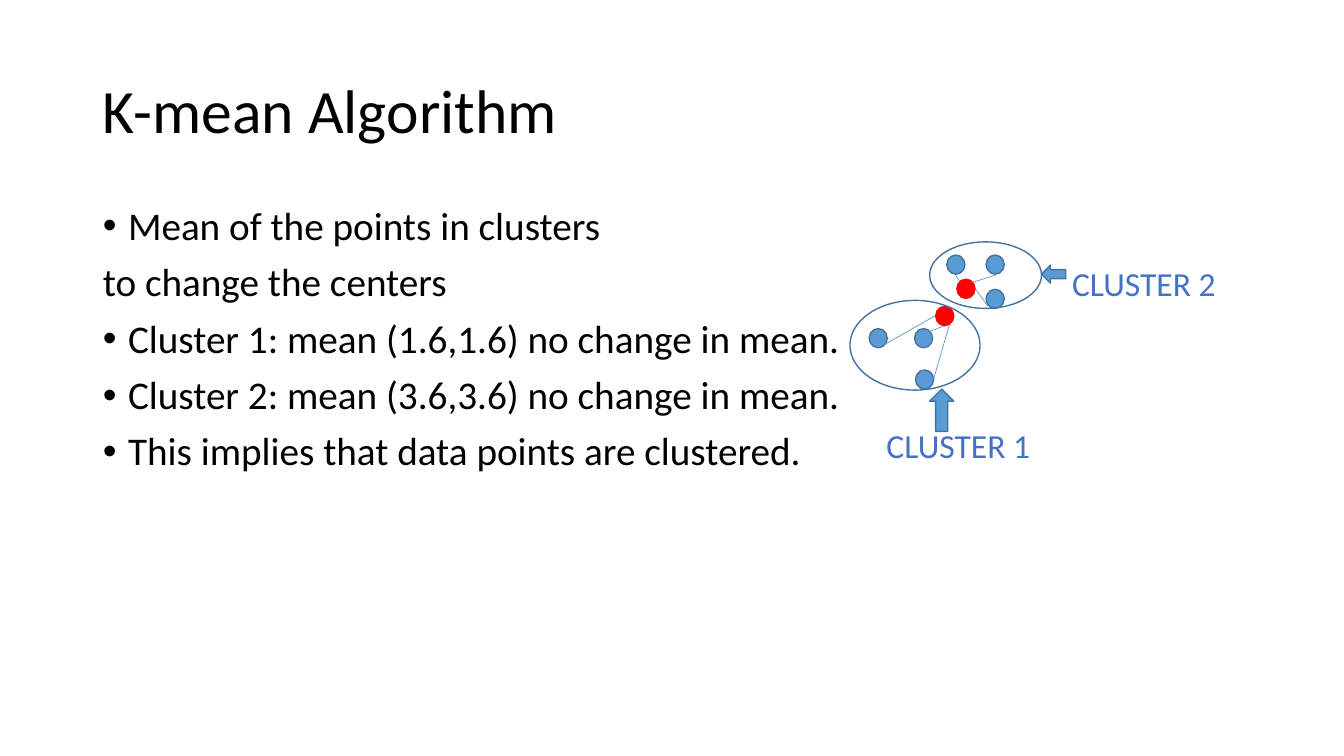
from dataclasses import dataclass

from lxml.etree import SubElement
from pptx import Presentation
from pptx.dml.color import RGBColor
from pptx.enum.shapes import MSO_CONNECTOR, MSO_SHAPE
from pptx.enum.text import MSO_ANCHOR, MSO_AUTO_SIZE, PP_ALIGN
from pptx.oxml.ns import qn
from pptx.util import Inches, Pt


@dataclass(frozen=True)
class Theme:
    """Colours, font and type sizes of the slide."""
    font: str = "Calibri"
    ink: str = "000000"
    point: str = "5B9BD5"
    edge: str = "43739E"
    center: str = "FF0000"
    label: str = "4472C4"
    title_size: int = 44
    body_size: int = 28
    label_size: int = 24


COLUMNS, ROWS = 13.33, 7.5
DOT = (0.18, 0.19)
BULLETS = [
    ("Mean of the points in clusters", True),
    ("to change the centers", False),
    ("Cluster 1: mean (1.6,1.6) no change in mean.", True),
    ("Cluster 2: mean (3.6,3.6) no change in mean.", True),
    ("This implies that data points are clustered.", True),
]
CLUSTERS = [
    {
        "name": "CLUSTER 1",
        "label": (8.43, 4.17, 2.15, 0.5),
        "outline": (8.43, 2.98, 1.29, 0.89),
        "points": [(9.07, 3.26), (8.62, 3.26), (9.08, 3.67)],
        "center": (9.28, 3.04),
        "links": [(9.26, 3.76, 9.42, 3.21), (9.28, 3.13, 8.77, 3.42), (9.37, 3.23, 9.22, 3.29)],
        "arrow": (MSO_SHAPE.UP_ARROW, (9.22, 3.86, 0.24, 0.42)),
    },
    {
        "name": "CLUSTER 2",
        "label": (10.27, 2.56, 2.15, 0.5),
        "outline": (9.22, 2.4, 1.11, 0.66),
        "points": [(9.78, 2.53), (9.78, 2.87), (9.39, 2.53)],
        "center": (9.49, 2.77),
        "links": [(9.87, 2.73, 9.65, 2.8), (9.67, 2.86, 9.8, 3.04), (9.52, 2.8, 9.48, 2.73)],
        "arrow": (MSO_SHAPE.LEFT_ARROW, (10.33, 2.63, 0.24, 0.18)),
    },
]


def assign(target, values):
    """Set each named attribute on the target."""
    for name, value in values.items():
        setattr(target, name, value)


class Painter:
    """Draws styled elements on one slide, placed by columns and rows."""

    def __init__(self, deck, theme):
        """Add a title-and-content slide to the deck."""
        self.theme = theme
        self.page = deck.slides.add_slide(deck.slide_layouts[1])
        self.column = deck.slide_width / COLUMNS
        self.row = deck.slide_height / ROWS

    def place(self, *cells):
        """Turn alternating columns and rows into lengths."""
        return [round(cell * (self.row if index % 2 else self.column))
                for index, cell in enumerate(cells)]

    def move(self, box, cells):
        """Move and size a placeholder."""
        assign(box, dict(zip(("left", "top", "width", "height"), self.place(*cells))))

    def add_text(self, para, text, size, color, **layout):
        """Add one formatted run to a paragraph."""
        span = para.add_run()
        span.text = text
        assign(span.font, {"name": self.theme.font, "size": Pt(size)})
        span.font.color.rgb = RGBColor.from_string(color)
        assign(para, layout)

    def title(self, text, cells):
        """Fill the title placeholder."""
        box = self.page.shapes.title
        self.move(box, cells)
        assign(box.text_frame, {"vertical_anchor": MSO_ANCHOR.MIDDLE, "auto_size": MSO_AUTO_SIZE.NONE})
        self.add_text(box.text_frame.paragraphs[0], text, self.theme.title_size, self.theme.ink,
                      alignment=PP_ALIGN.LEFT, line_spacing=0.9)

    def body(self, lines, cells):
        """Fill the body placeholder with bulleted and plain lines."""
        box = self.page.placeholders[1]
        self.move(box, cells)
        frame = box.text_frame
        frame.auto_size = MSO_AUTO_SIZE.NONE
        for index, (text, bulleted) in enumerate(lines):
            para = frame.add_paragraph() if index else frame.paragraphs[0]
            self.add_text(para, text, self.theme.body_size, self.theme.ink,
                          line_spacing=0.9, space_before=Pt(10))
            properties = para._p.get_or_add_pPr()
            indent = Inches(0.25) if bulleted else 0
            properties.set("marL", str(indent))
            properties.set("indent", str(-indent))
            if bulleted:
                SubElement(properties, qn("a:buFont"), typeface="Arial")
                SubElement(properties, qn("a:buChar"), char="•")
            else:
                SubElement(properties, qn("a:buNone"))

    def shape(self, kind, cells, fill=None, edge=None):
        """Draw a preset shape, hollow when no fill is given."""
        box = self.page.shapes.add_shape(kind, *self.place(*cells))
        box.shadow.inherit = False
        if fill:
            box.fill.solid()
            box.fill.fore_color.rgb = RGBColor.from_string(fill)
        else:
            box.fill.background()
        box.line.color.rgb = RGBColor.from_string(edge or self.theme.edge)
        box.line.width = Pt(1)

    def dot(self, corner, fill, edge=None):
        """Draw a data point or a cluster center."""
        self.shape(MSO_SHAPE.FLOWCHART_CONNECTOR, (*corner, *DOT), fill, edge)

    def link(self, cells):
        """Draw a thin line between a point and its center."""
        line = self.page.shapes.add_connector(MSO_CONNECTOR.STRAIGHT, *self.place(*cells))
        line.line.color.rgb = RGBColor.from_string(self.theme.point)
        line.line.width = Pt(0.5)
        SubElement(line._element.spPr, qn("a:effectLst"))

    def label(self, text, cells):
        """Add a centred cluster name."""
        frame = self.page.shapes.add_textbox(*self.place(*cells)).text_frame
        assign(frame, {"word_wrap": True, "auto_size": MSO_AUTO_SIZE.SHAPE_TO_FIT_TEXT})
        self.add_text(frame.paragraphs[0], text, self.theme.label_size, self.theme.label,
                      alignment=PP_ALIGN.CENTER)

    def cluster(self, group):
        """Draw one cluster with its points, center, links and label."""
        for corner in group["points"]:
            self.dot(corner, self.theme.point)
        for cells in group["links"]:
            self.link(cells)
        self.dot(group["center"], self.theme.center, self.theme.center)
        self.shape(MSO_SHAPE.OVAL, group["outline"])
        self.label(group["name"], group["label"])
        kind, cells = group["arrow"]
        self.shape(kind, cells, self.theme.point)


def main():
    """Build and save the slide."""
    deck = Presentation()
    assign(deck, {"slide_width": Inches(COLUMNS), "slide_height": Inches(ROWS)})
    painter = Painter(deck, Theme())
    painter.title("K-mean Algorithm", (0.92, 0.4, 11.5, 1.45))
    painter.body(BULLETS, (0.92, 2, 11.5, 4.76))
    for group in CLUSTERS:
        painter.cluster(group)
    deck.save("out.pptx")


if __name__ == "__main__":
    main()
